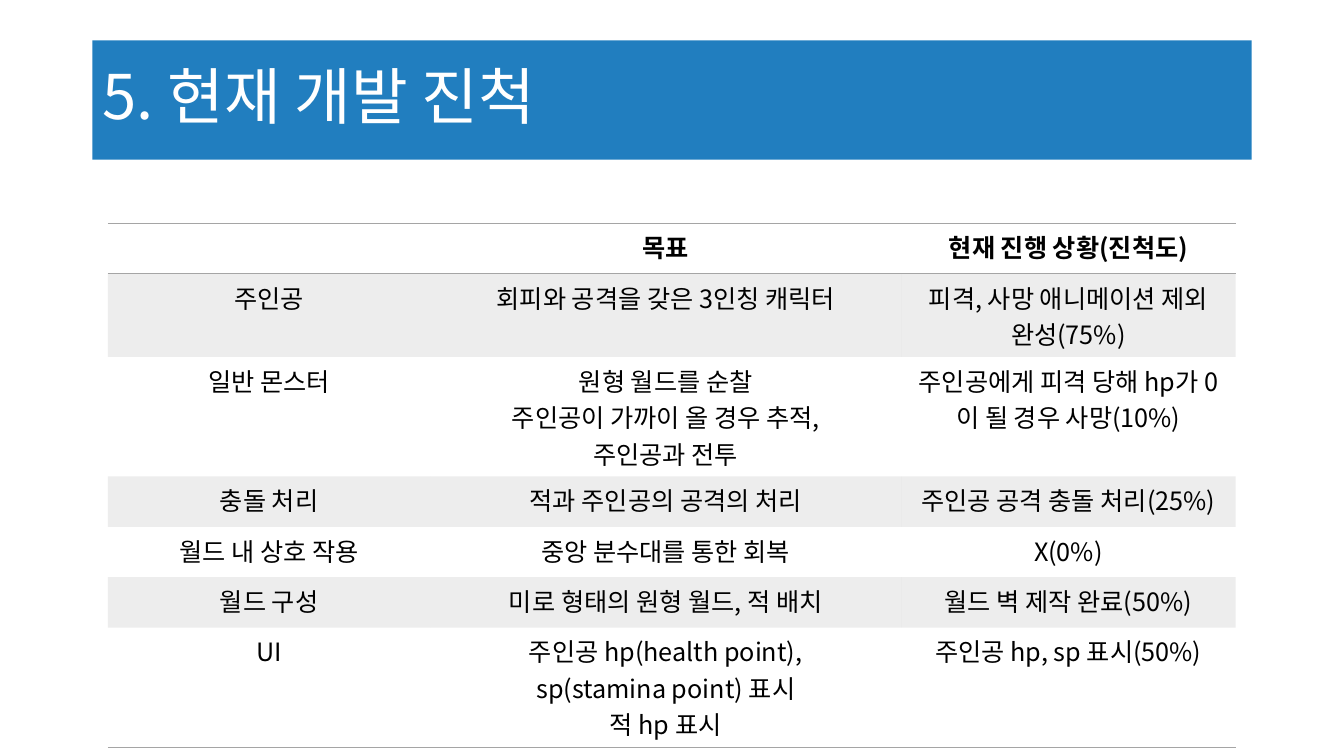
from lxml.etree import SubElement
from pptx import Presentation
from pptx.dml.color import RGBColor
from pptx.enum.text import MSO_ANCHOR as Anchor, MSO_AUTO_SIZE as AutoSize, PP_ALIGN as Align
from pptx.oxml import parse_xml
from pptx.oxml.ns import nsdecls, qn
from pptx.util import Inches, Pt

FONT = "Noto Sans CJK KR"
BLUE, WHITE, BLACK, GRAY = "217EBF", "FFFFFF", "000000", "A5A5A5"
PLAIN_STYLE = "{2D5ABB26-0587-4C30-8999-92F81FD0307C}"
COLUMN_SPANS = (38.4, 56.04, 39.84)
ROW_SPAN = 6
PROGRESS = [
    ("", "목표", "현재 진행 상황(진척도)"),
    ("주인공", "회피와 공격을 갖은 3인칭 캐릭터", "피격, 사망 애니메이션 제외 완성(75%)"),
    ("일반 몬스터", "원형 월드를 순찰\n주인공이 가까이 올 경우 추적,\n주인공과 전투",
     "주인공에게 피격 당해 hp가 0이 될 경우 사망(10%)"),
    ("충돌 처리", "적과 주인공의 공격의 처리", "주인공 공격 충돌 처리(25%)"),
    ("월드 내 상호 작용", "중앙 분수대를 통한 회복", "X(0%)"),
    ("월드 구성", "미로 형태의 원형 월드, 적 배치", "월드 벽 제작 완료(50%)"),
    ("UI", "주인공 hp(health point),\nsp(stamina point) 표시\n적 hp 표시",
     "주인공 hp, sp 표시(50%)"),
]


def grid(cells):
    """Return the length of grid cells, 160 across and 90 down the slide."""
    return Inches(cells / 12)


def color(value):
    """Turn a hex string into a colour."""
    return RGBColor.from_string(value)


def apply(target, values):
    """Set each attribute in a dict of format values."""
    for name, value in values.items():
        setattr(target, name, value)


def write(frame, text, size, ink, align, bold=False, spacing=None):
    """Fill a text frame with one formatted paragraph per line."""
    frame.text = text
    for paragraph in frame.paragraphs:
        apply(paragraph, {"alignment": align, "line_spacing": spacing})
        for run in paragraph.runs:
            apply(run.font, {"size": Pt(size), "bold": bold, "name": FONT})
            run.font.color.rgb = color(ink)
            SubElement(run.font._element, qn("a:ea"), typeface=FONT)


def add_heading(slide, text):
    """Place the title on its blue band."""
    heading = slide.shapes.title
    apply(heading, {"left": grid(11), "top": grid(4.8),
                    "width": grid(138), "height": grid(14.2)})
    heading.fill.solid()
    heading.fill.fore_color.rgb = color(BLUE)
    write(heading.text_frame, text, 44, WHITE, Align.LEFT, spacing=0.9)
    apply(heading.text_frame, {"vertical_anchor": Anchor.MIDDLE, "word_wrap": True,
                               "auto_size": AutoSize.NONE})


def shade(cell, banded):
    """Give a cell a translucent gray band or no fill."""
    if not banded:
        cell.fill.background()
        return
    cell.fill.solid()
    cell.fill.fore_color.rgb = color(GRAY)
    tint = cell._tc.tcPr.find(".//" + qn("a:srgbClr"))
    SubElement(tint, qn("a:alpha"), val="20000")


def rule(cell, side):
    """Draw a thin gray border on the top (T) or bottom (B) of a cell."""
    cell._tc.tcPr.insert(0, parse_xml(
        f'<a:ln{side} {nsdecls("a")} w="{Pt(1)}"><a:solidFill>'
        f'<a:srgbClr val="{GRAY}"/></a:solidFill></a:ln{side}>'))


def add_progress(slide, entries):
    """Add the progress table with banded rows and ruled ends."""
    last = len(entries) - 1
    progress = slide.shapes.add_table(
        len(entries), len(COLUMN_SPANS), grid(12.84), grid(26.6),
        grid(sum(COLUMN_SPANS)), grid(ROW_SPAN * len(entries))).table
    progress._tbl.tblPr.find(qn("a:tableStyleId")).text = PLAIN_STYLE
    for column, span in zip(progress.columns, COLUMN_SPANS):
        column.width = grid(span)
    for r, entry in enumerate(entries):
        progress.rows[r].height = grid(ROW_SPAN)
        for c, text in enumerate(entry):
            cell = progress.cell(r, c)
            write(cell.text_frame, text, 18, BLACK, Align.CENTER, bold=r == 0)
            shade(cell, r % 2 == 1)
            if r in (0, last):
                rule(cell, "B")
            if r == 0:
                rule(cell, "T")


def main():
    """Build the development progress slide."""
    deck = Presentation()
    apply(deck, {"slide_width": grid(160), "slide_height": grid(90)})
    slide = deck.slides.add_slide(deck.slide_layouts[5])
    add_heading(slide, "5. 현재 개발 진척")
    add_progress(slide, PROGRESS)
    deck.save("out.pptx")


if __name__ == "__main__":
    main()
